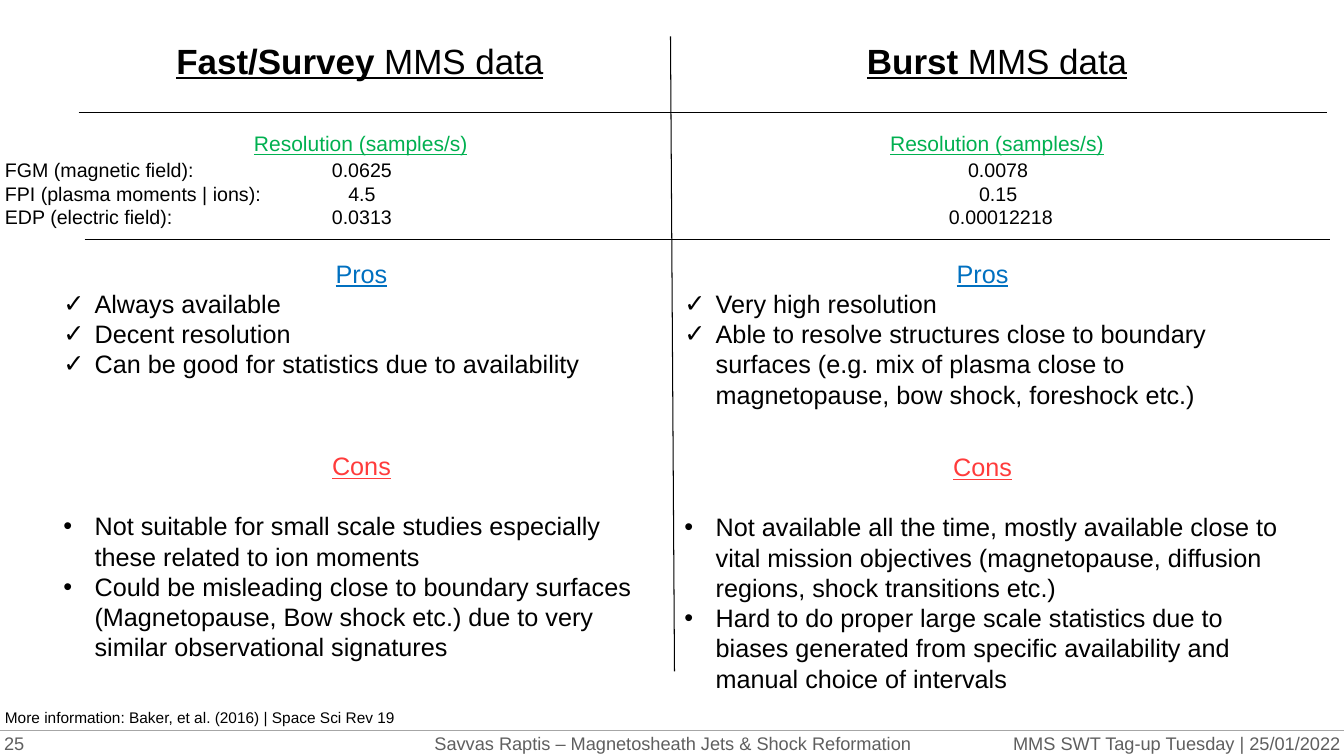
from pptx import Presentation
from pptx.dml.color import RGBColor
from pptx.enum.shapes import MSO_CONNECTOR
from pptx.enum.text import MSO_ANCHOR, PP_ALIGN
from pptx.oxml.ns import qn
from pptx.util import Inches, Pt
from lxml import etree

LEFT, CENTER, RIGHT = PP_ALIGN.LEFT, PP_ALIGN.CENTER, PP_ALIGN.RIGHT
TOP, MIDDLE = MSO_ANCHOR.TOP, MSO_ANCHOR.MIDDLE
STRAIGHT = MSO_CONNECTOR.STRAIGHT
BLACK = RGBColor(0x00, 0x00, 0x00)
GREY = RGBColor(0x5F, 0x5F, 0x5F)
RULE_GREY = RGBColor(0xA6, 0xA6, 0xA6)
GREEN = RGBColor(0x00, 0xB0, 0x50)
BLUE = RGBColor(0x00, 0x70, 0xC0)
RED = RGBColor(0xFF, 0x3B, 0x3B)

INSTRUMENTS = ["FGM (magnetic field):", "FPI (plasma moments | ions):", "EDP (electric field):"]
RESOLUTION = "Resolution (samples/s)"
SOURCE = "More information: Baker, et al. (2016) | Space Sci Rev 19"

# x positions: title, values, list; cons_y is the top of the Cons list
COLUMNS = [
    {
        "mode": "Fast/Survey", "title": (1.65, 3.89), "values_x": 2.45, "list_x": 0.53,
        "cons_y": 4.42,
        "values": ["0.0625", "4.5", "0.0313"],
        "pros": ["Always available", "Decent resolution",
                 "Can be good for statistics due to availability"],
        "cons": ["Not suitable for small scale studies especially these related to ion moments",
                 "Could be misleading close to boundary surfaces (Magnetopause, Bow shock etc.) "
                 "due to very similar observational signatures"],
    },
    {
        "mode": "Burst", "title": (8.5, 2.81), "values_x": 8.76, "list_x": 6.69,
        "cons_y": 4.43,
        "values": ["0.0078", "0.15", " 0.00012218"],
        "pros": ["Very high resolution",
                 "Able to resolve structures close to boundary surfaces (e.g. mix of plasma "
                 "close to magnetopause, bow shock, foreshock etc.)"],
        "cons": ["Not available all the time, mostly available close to vital mission objectives "
                 "(magnetopause, diffusion regions, shock transitions etc.)",
                 "Hard to do proper large scale statistics due to biases generated from specific "
                 "availability and manual choice of intervals"],
    },
]
FOOTERS = [
    ("Savvas Raptis – Magnetosheath Jets & Shock Reformation", 4.19, 4.96, CENTER),
    ("MMS SWT Tag-up Tuesday | 25/01/2022", 9.75, 3.54, RIGHT),
    ("25", 0.04, 2.16, LEFT),
]
RULES = [
    (0, 7.25, 13.33, 7.25, RULE_GREY),
    (6.65, 0.36, 6.69, 6.66, BLACK),
    (0.78, 1.12, 13.16, 1.12, BLACK),
    (0.84, 2.38, 13.19, 2.38, BLACK),
]

prs = Presentation()
prs.slide_width, prs.slide_height = Inches(13.33), Inches(7.5)
slide = prs.slides.add_slide(prs.slide_layouts[6])


def style(font, size, color, underline=False):
    font.name, font.size, font.color.rgb = "Arial", Pt(size), color
    font.underline = underline


def add_text(lines, x, y, w, h, size, color=BLACK, align=LEFT, underline=False,
             wrap=True, anchor=TOP, inset=(0.1, 0.05)):
    tf = slide.shapes.add_textbox(Inches(x), Inches(y), Inches(w), Inches(h)).text_frame
    tf.word_wrap, tf.vertical_anchor = wrap, anchor
    tf.margin_left = tf.margin_right = Inches(inset[0])
    tf.margin_top = tf.margin_bottom = Inches(inset[1])
    tf.text = "\n".join(lines)
    for p in tf.paragraphs:
        p.alignment = align
        for r in p.runs:
            style(r.font, size, color, underline)
    return tf


def add_list(heading, color, items, bullet, x, y, h, gap=0):
    """Underlined centred heading with a bulleted list below it."""
    tf = add_text([heading], x, y, 6.11, h, 18, color, CENTER, True)
    for i, item in enumerate(items):
        p = tf.add_paragraph()
        p.text = item
        p.alignment = LEFT
        p.space_before = Pt(0 if i else gap)
        pPr = p._p.get_or_add_pPr()
        pPr.set("marL", str(Inches(0.31)))
        pPr.set("indent", str(-Inches(0.31)))
        etree.SubElement(pPr, qn("a:buFont")).set("typeface", "Arial")
        etree.SubElement(pPr, qn("a:buChar")).set("char", bullet)
        style(p.runs[0].font, 18, BLACK)


for x1, y1, x2, y2, color in RULES:
    rule = slide.shapes.add_connector(STRAIGHT, Inches(x1), Inches(y1), Inches(x2), Inches(y2))
    rule.line.color.rgb, rule.line.width = color, Pt(0.75)
    etree.SubElement(rule._element.spPr, qn("a:effectLst"))

for text, x, w, align in FOOTERS:
    add_text([text], x, 7.25, w, 0.25, 13, GREY, align, anchor=MIDDLE, inset=(0, 0))
add_text([SOURCE], -0.05, 6.98, 4.54, 0.29, 11)
add_text(INSTRUMENTS, -0.05, 1.52, 2.8, 0.81, 14)

for col in COLUMNS:
    x, w = col["title"]
    p = add_text([col["mode"]], x, 0.34, w, 0.52, 25, underline=True, wrap=False).paragraphs[0]
    p.runs[0].font.bold = True
    r = p.add_run()
    r.text = " MMS data"
    style(r.font, 25, BLACK, True)
    add_text([RESOLUTION], col["values_x"] - 0.03, 1.25, 2.35, 0.35, 15, GREEN,
             underline=True, wrap=False)
    add_text(col["values"], col["values_x"], 1.52, 2.28, 0.81, 14, align=CENTER)
    add_list("Pros", BLUE, col["pros"], "✓", col["list_x"], 2.51, 1.92)
    add_list("Cons", RED, col["cons"], "•", col["list_x"], col["cons_y"], 2.53, gap=21.5)

prs.save("out.pptx")
